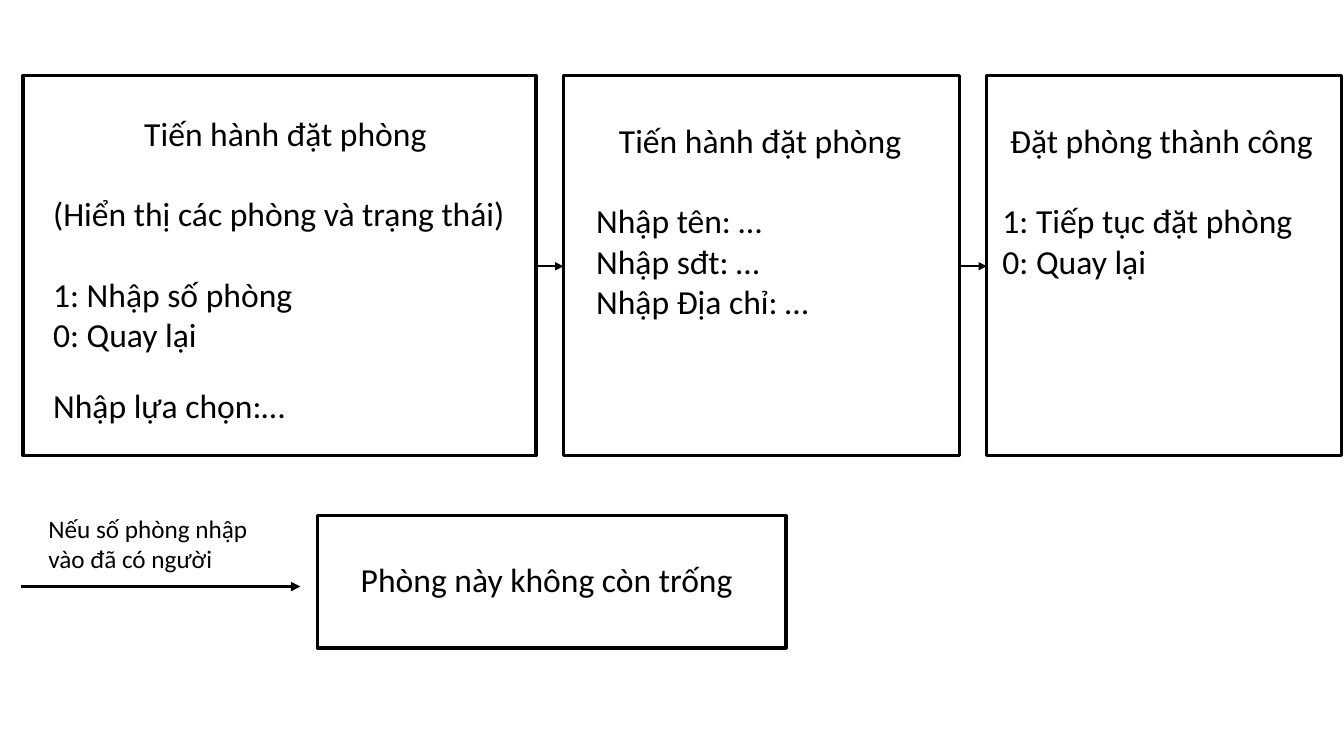
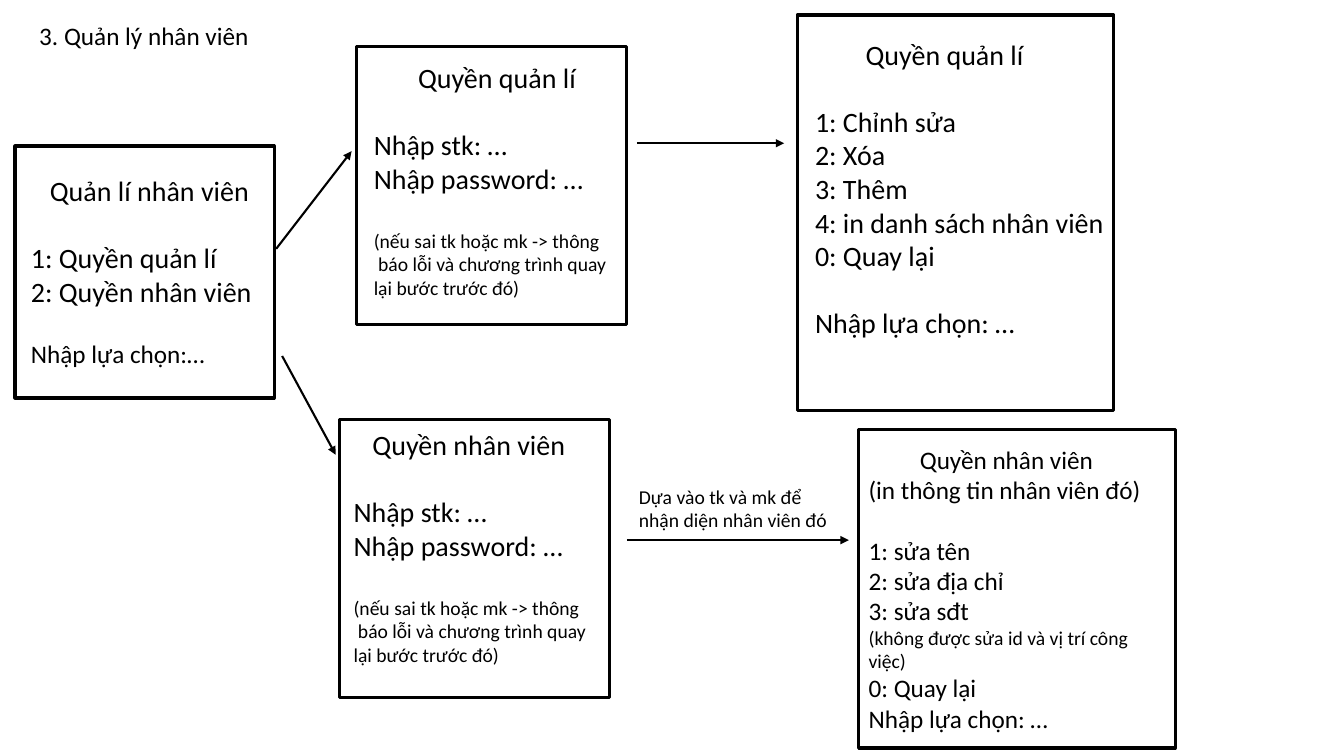
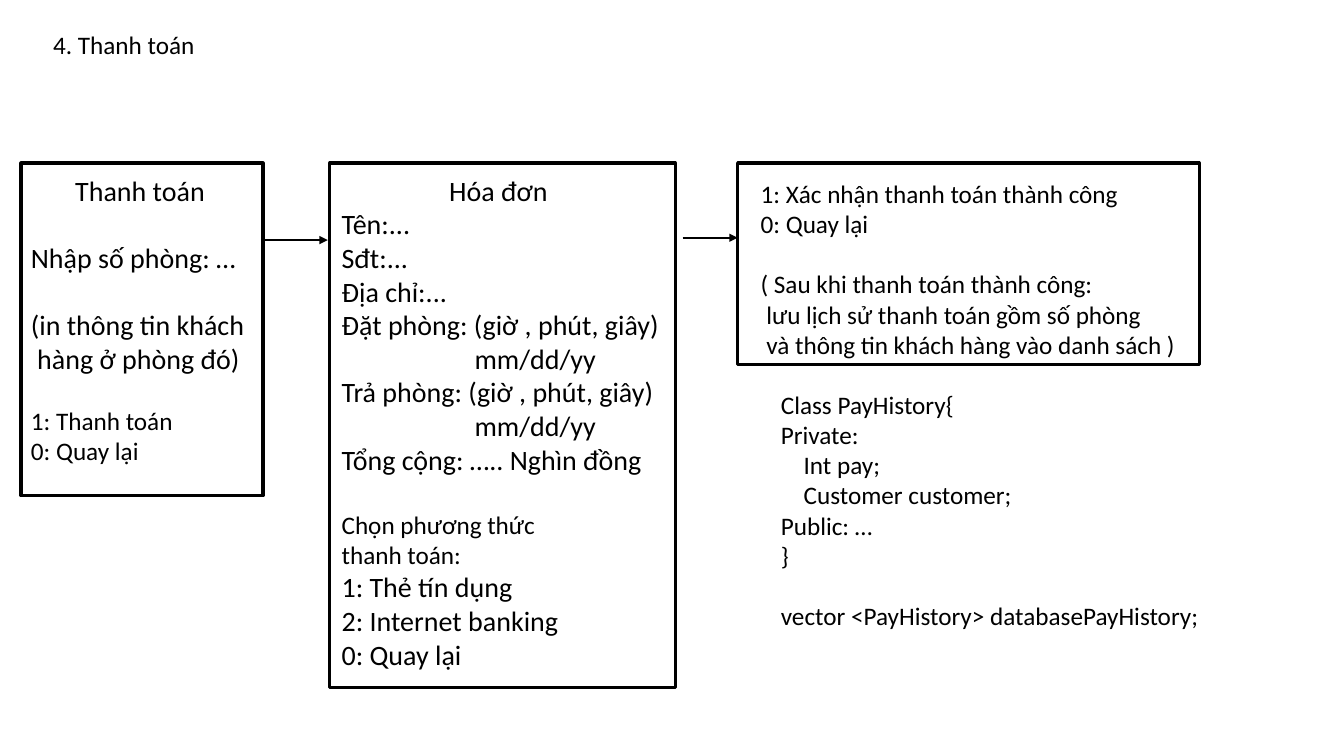
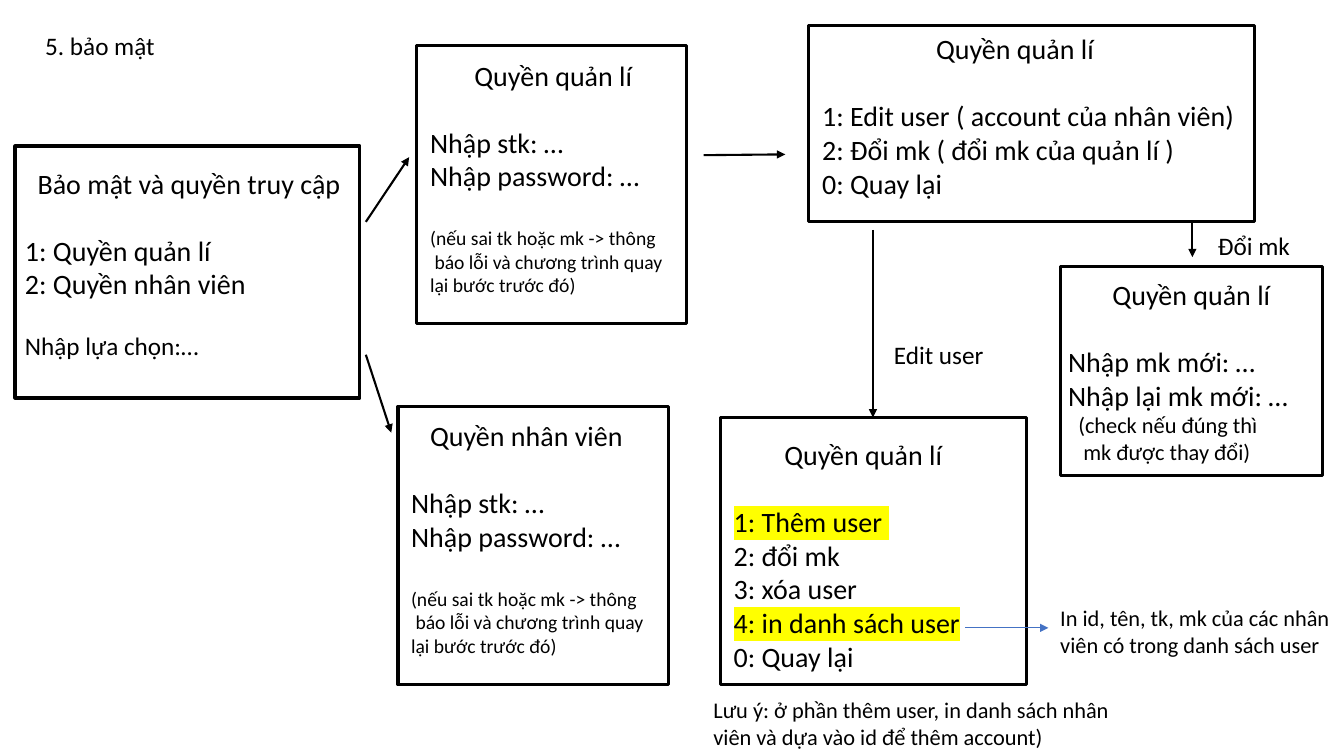
from lxml.etree import SubElement
from pptx import Presentation
from pptx.dml.color import RGBColor
from pptx.enum.shapes import MSO_CONNECTOR, MSO_SHAPE
from pptx.enum.text import MSO_ANCHOR, PP_ALIGN
from pptx.oxml.ns import qn
from pptx.util import Cm, Pt

COLORS = {"ink": "000000", "paper": "FFFFFF", "blue": "4472C4", "mark": "FFFF00"}
FONT = "Calibri"
LEADING = 1.2
SPACE = 0.226


def color(name):
    return RGBColor.from_string(COLORS[name])


def rows(text, size=20, gap=0, indent=0, mark=False):
    return [
        dict(text=part, size=size, gap=0 if i else gap, indent=indent, mark=mark)
        for i, part in enumerate(text.split("\n"))
    ]


class Deck:
    def __init__(self):
        self.show = Presentation()
        self.show.slide_width = Cm(33.87)
        self.show.slide_height = Cm(19.05)
        self.slide = None

    def page(self, title=None, x=0, y=0):
        self.slide = self.show.slides.add_slide(self.show.slide_layouts[6])
        if title:
            self.text(x, y, 6.4, rows(title, size=18))

    def typeset(self, frame, blocks):
        frame.word_wrap = True
        lines = [line for block in blocks for line in block]
        for i, line in enumerate(lines):
            par = frame.paragraphs[0] if i == 0 else frame.add_paragraph()
            par.alignment = PP_ALIGN.LEFT
            par.space_before = Pt(line["gap"] * LEADING)
            inset = Pt(line["indent"] * line["size"] * SPACE)
            par._p.get_or_add_pPr().set("marL", str(inset))
            run = par.add_run()
            run.text = line["text"]
            run.font.size = Pt(line["size"])
            run.font.color.rgb = color("ink")
            run.font.name = FONT
            if line["mark"]:
                props = run._r.rPr
                glow = SubElement(props, qn("a:highlight"))
                SubElement(glow, qn("a:srgbClr"), val=COLORS["mark"])
                props.find(qn("a:solidFill")).addnext(glow)
        return sum((line["size"] + line["gap"]) * LEADING for line in lines)

    def text(self, x, y, w, *blocks):
        box = self.slide.shapes.add_textbox(Cm(x), Cm(y), Cm(w), Cm(1))
        box.text_frame.margin_right = 0
        box.height = Pt(self.typeset(box.text_frame, blocks)) + Cm(0.25)

    def box(self, x, y, w, h, *blocks):
        shape = self.slide.shapes.add_shape(
            MSO_SHAPE.RECTANGLE, Cm(x), Cm(y), Cm(w), Cm(h))
        shape.shadow.inherit = False
        shape.fill.solid()
        shape.fill.fore_color.rgb = color("paper")
        shape.line.color.rgb = color("ink")
        shape.line.width = Pt(2.25)
        if blocks:
            shape.text_frame.vertical_anchor = MSO_ANCHOR.MIDDLE
            self.typeset(shape.text_frame, blocks)

    def card(self, x, y, w, h, dx, dy, *blocks):
        self.box(x, y, w, h)
        self.text(x + dx, y + dy, w - dx, *blocks)

    def login(self, x, y, dx, dy, title, indent):
        self.card(
            x, y, 6.81, 7.01, dx, dy,
            rows(title, indent=indent),
            rows("Nhập stk: …\nNhập password: …", gap=20),
            rows("(nếu sai tk hoặc mk -> thông", size=14, gap=20),
            rows("báo lỗi và chương trình quay", size=14, indent=1),
            rows("lại bước trước đó)", size=14),
        )

    def arrow(self, x1, y1, x2, y2, width=1.5, tone="ink"):
        link = self.slide.shapes.add_connector(
            MSO_CONNECTOR.STRAIGHT, Cm(x1), Cm(y1), Cm(x2), Cm(y2))
        link.line.color.rgb = color(tone)
        link.line.width = Pt(width)
        props = link._element.spPr
        SubElement(props.find(qn("a:ln")), qn("a:tailEnd"), type="triangle")
        SubElement(props, qn("a:effectLst"))


deck = Deck()
MANAGER = "Quyền quản lí"
STAFF = "Quyền nhân viên"
ROLES = f"1: {MANAGER}\n2: {STAFF}"
BACK = "0: Quay lại"
CHOICE = "Nhập lựa chọn:…"

deck.page()
steps = [
    (12.93, 0.51, 0.81, [
        rows("Tiến hành đặt phòng", size=24, indent=12),
        rows("(Hiển thị các phòng và trạng thái)", size=24, gap=24),
        rows(f"1: Nhập số phòng\n{BACK}", size=24, gap=24),
        rows(CHOICE, size=24, gap=18),
    ]),
    (9.98, 0, 0.99, [
        rows("Tiến hành đặt phòng", size=24, indent=6),
        rows("Nhập tên: …\nNhập sđt: …\nNhập Địa chỉ: …", size=24, gap=24, indent=3),
    ]),
    (8.94, -0.43, 0.99, [
        rows("Đặt phòng thành công", size=24, indent=4),
        rows(f"1: Tiếp tục đặt phòng\n{BACK}", size=24, gap=24, indent=3),
    ]),
]
left, space = 0.58, 0.69
for i, (wide, dx, dy, blocks) in enumerate(steps):
    deck.card(left, 1.9, wide, 9.58, dx, dy, *blocks)
    if i:
        deck.arrow(left - space, 6.71, left, 6.71)
    left += wide + space
deck.card(8, 13, 11.81, 3.33, 0.84, 0.97, rows("Phòng này không còn trống", size=24))
deck.text(0.97, 12.8, 5.84, rows("Nếu số phòng nhập vào đã có người", size=18))
deck.arrow(0.53, 14.78, 7.57, 14.78, width=2.25)

deck.page("3. Quản lý nhân viên", 0.74, 0.38)
deck.card(
    20.09, 0.38, 7.98, 9.96, 0.2, 0.43,
    rows(MANAGER, indent=8),
    rows(f"1: Chỉnh sửa\n2: Xóa\n3: Thêm\n4: in danh sách nhân viên\n{BACK}", gap=20),
    rows("Nhập lựa chọn: …", gap=20),
)
deck.card(
    0.38, 3.68, 6.53, 6.35, 0.15, 0.56,
    rows("Quản lí nhân viên", indent=3),
    rows(ROLES, gap=20),
    rows(CHOICE, size=18, gap=18),
)
deck.box(
    21.64, 10.82, 7.98, 8.03,
    rows(STAFF, size=18, indent=9),
    rows("(in thông tin nhân viên đó)", size=18),
    rows("1: sửa tên\n2: sửa địa chỉ\n3: sửa sđt", size=18, gap=18),
    rows("(không được sửa id và vị trí công việc)", size=14),
    rows(f"{BACK}\nNhập lựa chọn: …", size=18),
)
deck.login(8.99, 1.17, 0.18, 0.23, MANAGER, 7)
deck.login(8.56, 10.57, 0.1, 0.08, STAFF, 3)
deck.arrow(6.96, 6.27, 8.86, 3.81)
deck.arrow(7.11, 8.97, 8.46, 11.46)
deck.arrow(16.05, 3.61, 19.76, 3.61)
deck.arrow(15.8, 13.61, 21.39, 13.61)
deck.text(15.85, 12.09, 5.31, rows("Dựa vào tk và mk để\nnhận diện nhân viên đó", size=14))

deck.page("4. Thanh toán", 1.09, 0.61)
deck.card(
    0.53, 4.11, 6.1, 8.38, 0, 0.13,
    rows("Thanh toán", indent=7),
    rows("Nhập số phòng: …", gap=20),
    rows("(in thông tin khách", gap=20),
    rows("hàng ở phòng đó)", indent=1),
    rows(f"1: Thanh toán\n{BACK}", size=18, gap=18),
)
deck.card(
    8.31, 4.11, 8.71, 13.21, 0.05, 0.13,
    rows("Hóa đơn", indent=17),
    rows("Tên:...\nSđt:...\nĐịa chỉ:...\nĐặt phòng: (giờ , phút, giây)"),
    rows("mm/dd/yy", indent=21),
    rows("Trả phòng: (giờ , phút, giây)"),
    rows("mm/dd/yy", indent=21),
    rows("Tổng cộng: ….. Nghìn đồng"),
    rows("Chọn phương thức\nthanh toán:", size=18, gap=20),
    rows(f"1: Thẻ tín dụng\n2: Internet banking\n{BACK}"),
)
deck.card(
    18.59, 4.11, 11.63, 5.08, 0.33, 0.25,
    rows(f"1: Xác nhận thanh toán thành công\n{BACK}", size=18),
    rows("( Sau khi thanh toán thành công:", size=18, gap=18),
    rows("lưu lịch sử thanh toán gồm số phòng\n"
         "và thông tin khách hàng vào danh sách )", size=18, indent=1),
)
deck.arrow(6.68, 6.05, 8.26, 6.05)
deck.arrow(17.2, 5.99, 18.59, 5.99)
deck.text(
    19.43, 9.68, 11.13,
    rows("Class PayHistory{\nPrivate:", size=18),
    rows("Int pay;\nCustomer customer;", size=18, indent=4),
    rows("Public: …\n}", size=18),
    rows("vector <PayHistory> databasePayHistory;", size=18, gap=18),
)

deck.page("5. bảo mật", 0.89, 0.64)
deck.card(
    0.38, 3.68, 8.69, 6.35, 0, 0.38,
    rows("Bảo mật và quyền truy cập", indent=2),
    rows(ROLES, gap=20),
    rows(CHOICE, size=18, gap=18),
)
deck.login(10.49, 1.14, 0.1, 0.2, MANAGER, 7)
deck.login(10.03, 10.24, 0.08, 0.18, STAFF, 3)
deck.card(
    20.37, 0.64, 11.25, 4.95, 0.1, 0.03,
    rows(MANAGER, indent=18),
    rows("1: Edit user ( account của nhân viên)\n"
         f"2: Đổi mk ( đổi mk của quản lí )\n{BACK}", gap=20),
)
deck.card(
    18.16, 10.52, 7.7, 6.73, 0.08, 0.38,
    rows(MANAGER, indent=8),
    rows("1: Thêm user ", gap=20, mark=True),
    rows("2: đổi mk\n3: xóa user"),
    rows("4: in danh sách user", mark=True),
    rows(BACK),
)
deck.card(
    26.72, 6.71, 6.6, 5.28, -0.05, 0.15,
    rows(MANAGER, indent=7),
    rows("Nhập mk mới: …\nNhập lại mk mới: …", gap=20),
    rows("(check nếu đúng thì", size=16, indent=2),
    rows("mk được thay đổi)", size=16, indent=3),
)
deck.arrow(9.22, 5.59, 10.31, 3.96)
deck.arrow(9.22, 8.94, 9.86, 10.9)
deck.arrow(17.73, 3.91, 19.79, 3.89)
deck.arrow(22, 5.79, 22, 10.52)
deck.arrow(30.05, 5.59, 30.05, 6.48)
deck.arrow(24.33, 15.82, 26.42, 15.82, width=0.5, tone="blue")
deck.text(22.28, 8.43, 2.79, rows("Edit user", size=18))
deck.text(30.3, 5.69, 2.49, rows("Đổi mk", size=18, indent=1))
deck.text(17.73, 17.42, 16, rows(
    "Lưu ý: ở phần thêm user, in danh sách nhân\n"
    "viên và dựa vào id để thêm account)", size=16))
deck.text(26.47, 15.11, 7.35, rows(
    "In id, tên, tk, mk của các nhân\nviên có trong danh sách user", size=16))

deck.show.save("out.pptx")
